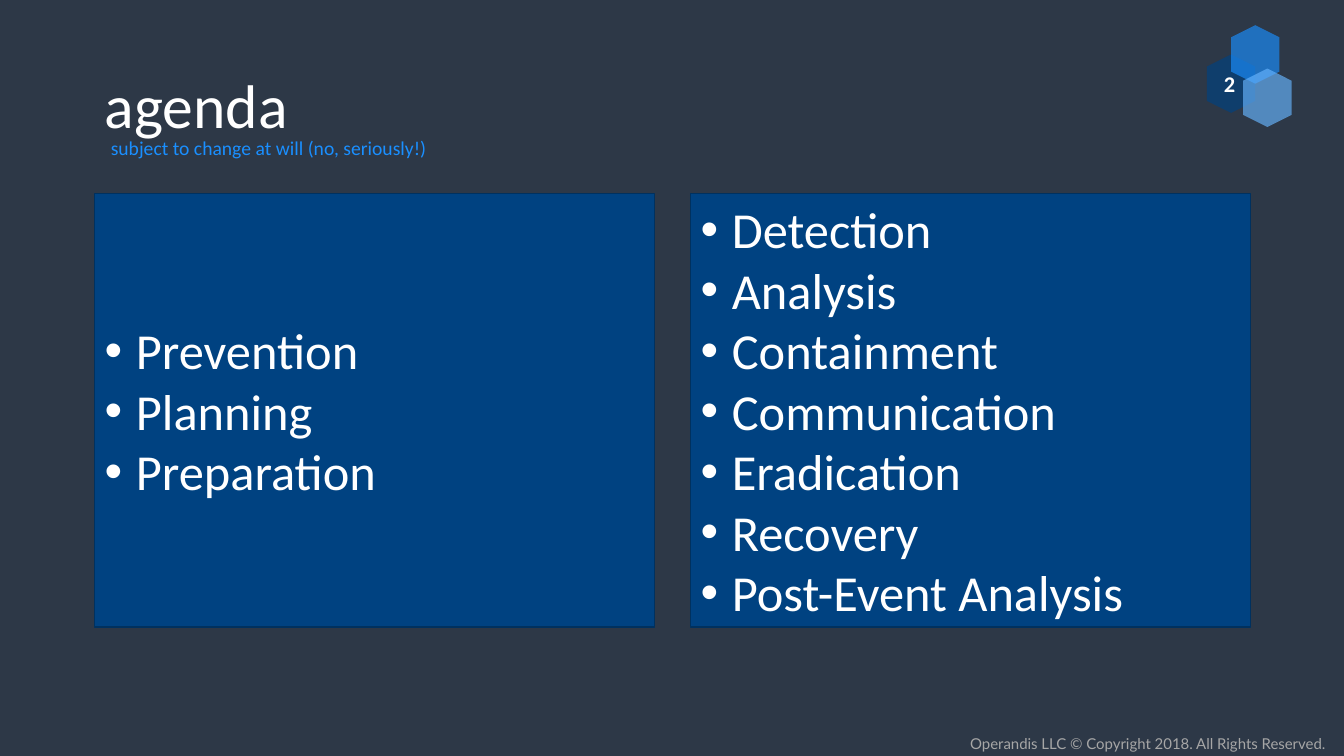
from lxml import etree
from pptx import Presentation
from pptx.dml.color import RGBColor
from pptx.enum import shapes, text
from pptx.oxml.ns import qn
from pptx.util import Inches, Pt

WHITE, NAVY, BLUE = "FFFFFF", "004281", "1A8FFF"
LEFT, CENTER, RIGHT = text.PP_ALIGN.LEFT, text.PP_ALIGN.CENTER, text.PP_ALIGN.RIGHT
TOP, MIDDLE = text.MSO_ANCHOR.TOP, text.MSO_ANCHOR.MIDDLE


def paint(fill, color):
    fill.solid()
    fill.fore_color.rgb = RGBColor.from_string(color)


def write(shape, lines, size, color=WHITE, font="Calibri", align=LEFT,
          anchor=TOP, spacing=1.0, bold=False, bullet=None):
    """Fill a shape with one single-run paragraph per line."""
    frame = shape.text_frame
    frame.word_wrap = True
    frame.auto_size = text.MSO_AUTO_SIZE.NONE
    frame.vertical_anchor = anchor
    for index, line in enumerate(lines):
        paragraph = frame.add_paragraph() if index else frame.paragraphs[0]
        paragraph.alignment = align
        paragraph.line_spacing = spacing
        if bullet:
            properties = paragraph._p.get_or_add_pPr()
            properties.set("marL", str(Inches(0.31)))
            properties.set("indent", str(-Inches(0.31)))
            etree.SubElement(properties, qn("a:buFont"), typeface="Arial")
            etree.SubElement(properties, qn("a:buChar"), char=bullet)
        run = paragraph.add_run()
        run.text = line
        run.font.size = Pt(size)
        run.font.name = font
        run.font.bold = bold
        run.font.color.rgb = RGBColor.from_string(color)


deck = Presentation()
deck.slide_width, deck.slide_height = Inches(13.33), Inches(7.5)
slide = deck.slides.add_slide(deck.slide_layouts[5])
paint(slide.background.fill, "2D3847")

copyright_line = slide.shapes.add_textbox(Inches(0), Inches(7.26), Inches(13.25), Inches(0.27))
write(copyright_line, ["Operandis LLC © Copyright 2018. All Rights Reserved."], 10.7,
      "A6A6A6", "Lato", RIGHT, spacing=0.9)

for left, top, color in [(11.92, 0.59, NAVY), (12.16, 0.3, BLUE), (12.28, 0.73, "67B5FF")]:
    hexagon = slide.shapes.add_shape(shapes.MSO_SHAPE.HEXAGON, Inches(left), Inches(top),
                                     Inches(0.58), Inches(0.48))
    hexagon.rotation = 270
    hexagon.shadow.inherit = False
    hexagon.line.fill.background()
    paint(hexagon.fill, color)
    tint = hexagon._element.spPr.find(qn("a:solidFill"))[0]
    etree.SubElement(tint, qn("a:alpha"), val="65000")

page_number = slide.shapes.add_textbox(Inches(11.89), Inches(0.65), Inches(0.61), Inches(0.37))
write(page_number, ["2"], 16, align=CENTER, bold=True)

title = slide.shapes.title
title.left, title.top, title.width, title.height = map(Inches, (0.94, 0.7, 10.71, 0.73))
write(title, ["agenda"], 44, spacing=0.9)

subtitle = slide.shapes.add_textbox(Inches(1), Inches(1.35), Inches(9.61), Inches(0.26))
write(subtitle, ["subject to change at will (no, seriously!)"], 14, BLUE,
      anchor=MIDDLE, spacing=0.9)

before_event = ["Prevention", "Planning", "Preparation"]
after_event = ["Detection", "Analysis", "Containment", "Communication",
               "Eradication", "Recovery", "Post-Event Analysis"]
for left, topics in [(0.94, before_event), (6.85, after_event)]:
    panel = slide.shapes.add_shape(shapes.MSO_SHAPE.RECTANGLE, Inches(left), Inches(1.92),
                                   Inches(5.55), Inches(4.3))
    panel.shadow.inherit = False
    paint(panel.fill, NAVY)
    paint(panel.line.fill, "00315F")
    panel.line.width = Pt(1)
    write(panel, topics, 36, anchor=MIDDLE, bullet="•")

deck.save("out.pptx")
